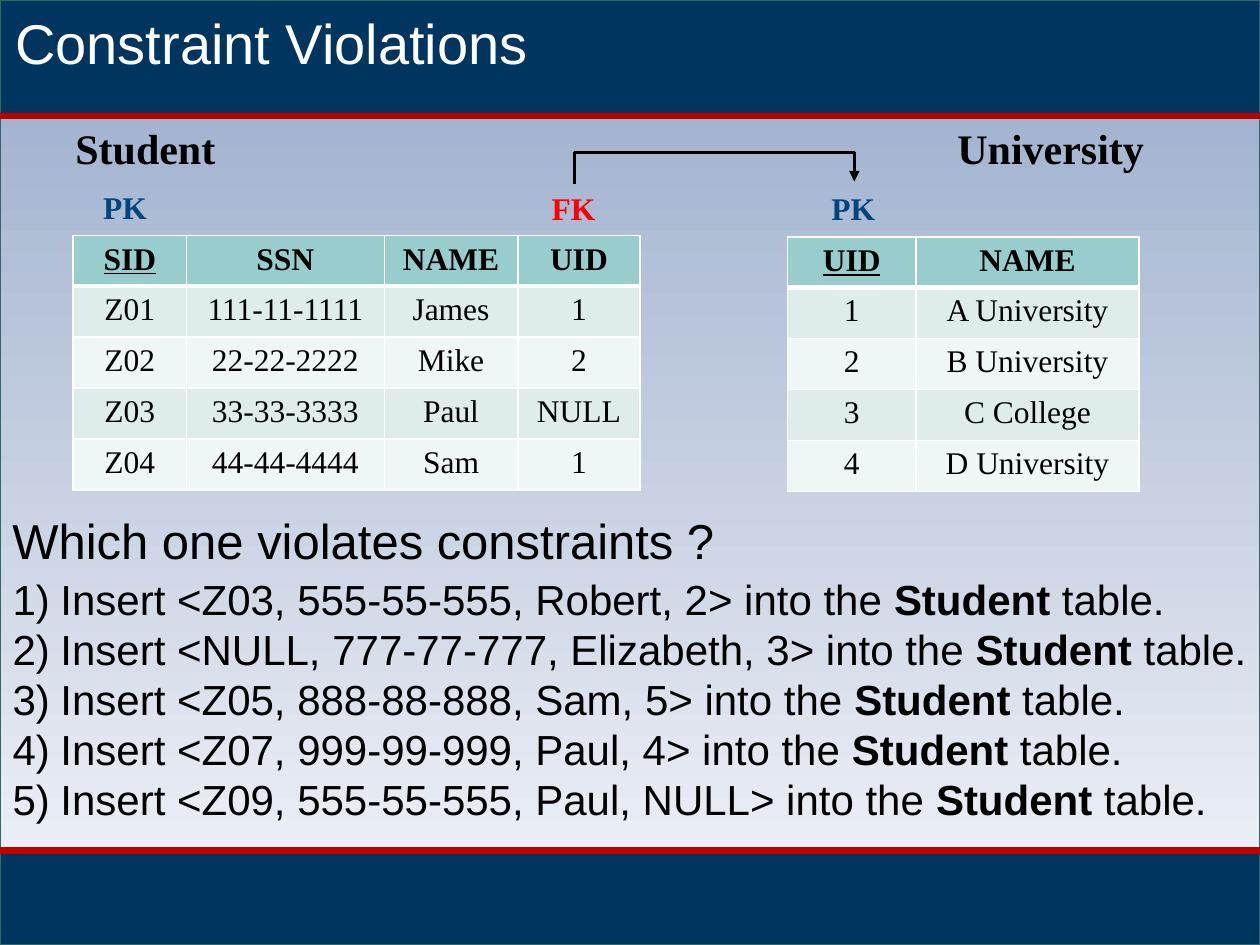
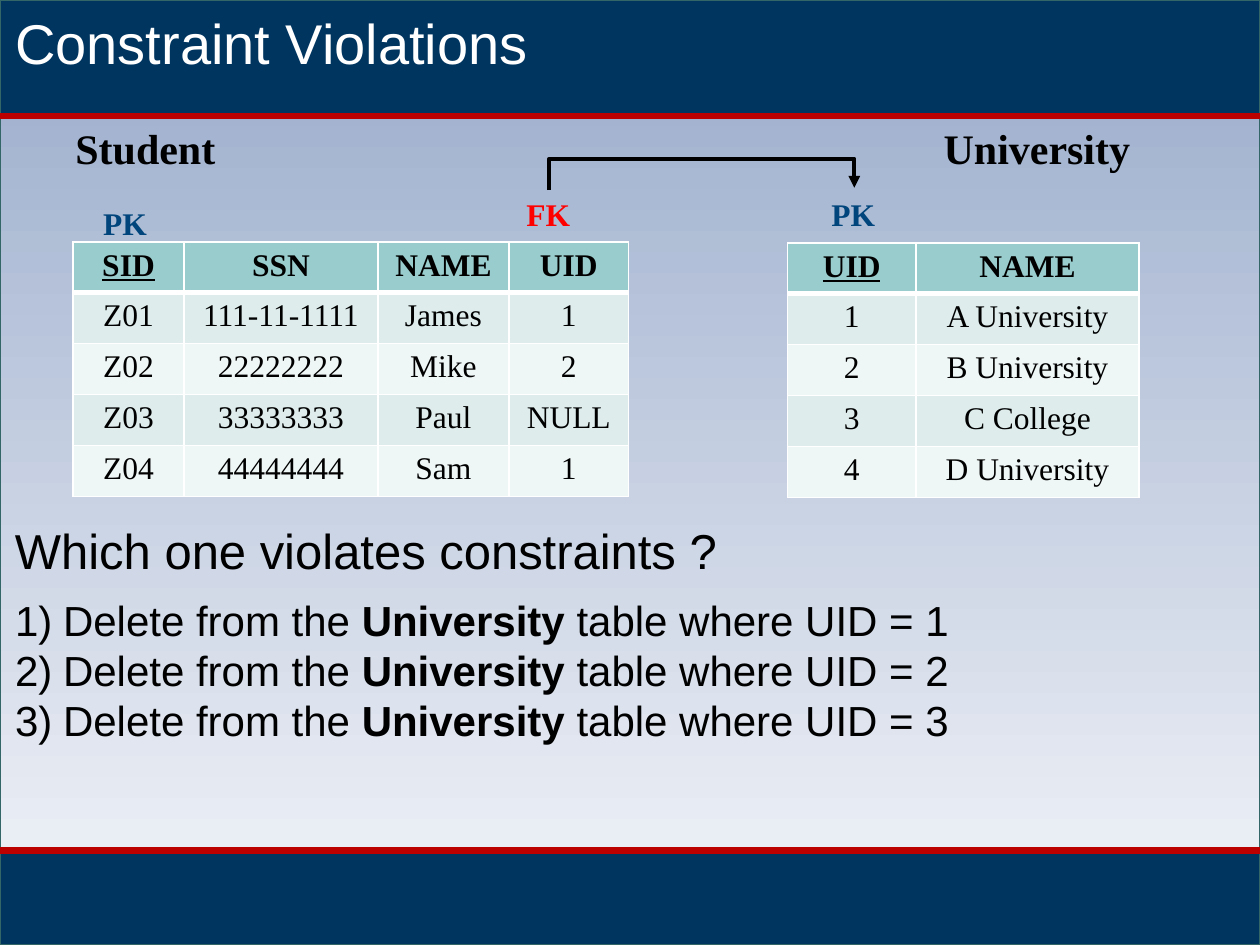
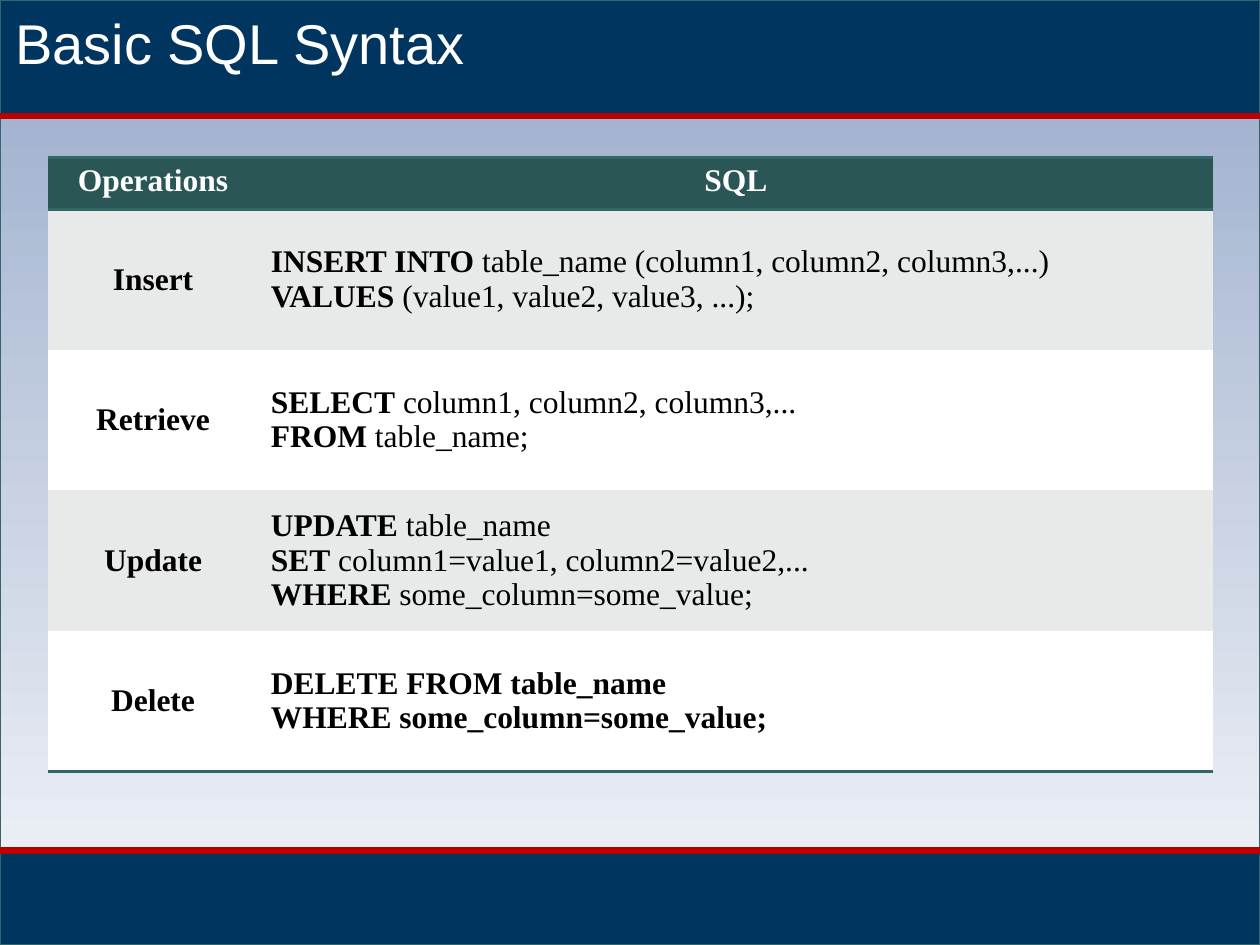
from lxml.etree import SubElement
from pptx import Presentation
from pptx.dml.color import RGBColor
from pptx.enum.shapes import MSO_CONNECTOR as LINE, MSO_SHAPE as SHAPE
from pptx.enum.text import MSO_ANCHOR as ANCHOR, MSO_AUTO_SIZE as FIT, PP_ALIGN as ALIGN
from pptx.oxml import parse_xml
from pptx.oxml.ns import nsdecls, qn
from pptx.util import Inches, Pt

COLS, ROWS = 100, 75
SERIF, SANS = "Times New Roman", "Arial"
NAVY, TEAL, RED = "003560", "336666", "BC0000"
WHITE, BLACK = "FFFFFF", "000000"
FORMATS = {
    "title": dict(name=SANS, size=Pt(32), color=WHITE),
    "question": dict(name=SANS, size=Pt(28), color=BLACK),
    "list": dict(name=SANS, size=Pt(24), color=BLACK),
    "caption": dict(name=SERIF, size=Pt(24), color=BLACK, bold=True),
    "primary": dict(name=SERIF, size=Pt(18), color="00457C", bold=True),
    "foreign": dict(name=SERIF, size=Pt(18), color="FF0000", bold=True),
    "cell": dict(name=SERIF, size=Pt(18), color=BLACK),
    "head": dict(name=SERIF, size=Pt(18), color=BLACK, bold=True),
    "key": dict(name=SERIF, size=Pt(18), color=BLACK, bold=True, underline=True),
    "sql head": dict(name=SERIF, size=Pt(18), color=WHITE, bold=True),
}


def rgb(code):
    return RGBColor.from_string(code)


class Deck:
    def __init__(self):
        self.prs = Presentation()
        self.prs.slide_width, self.prs.slide_height = Inches(10), Inches(7.5)
        self.slide = None

    def x(self, cols):
        return round(self.prs.slide_width * cols / COLS)

    def y(self, rows):
        return round(self.prs.slide_height * rows / ROWS)

    def box(self, left, top, width, height):
        return self.x(left), self.y(top), self.x(width), self.y(height)

    def place(self, sp, at):
        for name, value in zip(("left", "top", "width", "height"), self.box(*at)):
            setattr(sp, name, value)

    def add_runs(self, p, text, style):
        for i, line in enumerate(text.split("\n")):
            if i:
                p.add_line_break()
            for j, part in enumerate(line.split("**")):
                if not part:
                    continue
                r = p.add_run()
                r.text = part
                for name, value in FORMATS[style].items():
                    if name == "color":
                        r.font.color.rgb = rgb(value)
                    else:
                        setattr(r.font, name, value)
                if j % 2:
                    r.font.bold = True

    def new(self, title, layout):
        self.slide = self.prs.slides.add_slide(self.prs.slide_layouts[layout])
        sp = self.slide.shapes.title
        self.place(sp, (0.2, 0.2, 99.8, 6.4))
        tf = sp.text_frame
        tf.auto_size, tf.vertical_anchor = FIT.NONE, ANCHOR.TOP
        p = tf.paragraphs[0]
        p.alignment = ALIGN.LEFT
        self.add_runs(p, title, "title")

    def text(self, text, style, at, wrap=True):
        tf = self.slide.shapes.add_textbox(*self.box(*at)).text_frame
        tf.word_wrap = wrap
        self.add_runs(tf.paragraphs[0], text, style)

    def numbered(self, items, at):
        sp = self.slide.placeholders[1]
        self.place(sp, at)
        tf = sp.text_frame
        tf.auto_size = FIT.NONE
        for i, item in enumerate(items):
            p = tf.add_paragraph() if i else tf.paragraphs[0]
            pPr = p._p.get_or_add_pPr()
            pPr.set("marL", str(self.x(3.8)))
            pPr.set("indent", str(-self.x(3.8)))
            SubElement(pPr, qn("a:buFont"), typeface=SANS)
            SubElement(pPr, qn("a:buAutoNum"), type="arabicParenR")
            p.space_before, p.line_spacing = Pt(0), Pt(28.7)
            self.add_runs(p, item, "list")

    def rect(self, at, fill):
        sp = self.slide.shapes.add_shape(SHAPE.RECTANGLE, *self.box(*at))
        sp.shadow.inherit = False
        if isinstance(fill, str):
            sp.fill.solid()
            sp.fill.fore_color.rgb = rgb(fill)
        else:
            sp.fill.gradient()
            sp.fill.gradient_angle = 270
            for stop, color in zip(sp.fill.gradient_stops, fill):
                stop.color.rgb = rgb(color)
        sp.line.color.rgb, sp.line.width = rgb(TEAL), Pt(0.75)
        return sp

    def line(self, kind, start, end, color, width):
        sp = self.slide.shapes.add_connector(
            kind, self.x(start[0]), self.y(start[1]), self.x(end[0]), self.y(end[1]))
        sp.line.color.rgb, sp.line.width = rgb(color), Pt(width)
        SubElement(sp.element.spPr, qn("a:effectLst"))
        return sp

    def key_arrow(self, start, end, rise, width):
        (x1, y1), (x2, y2) = start, end
        cx, cy = (x1 + x2) / 2, (y1 + y2) / 2
        half_w, half_h = (y1 - y2) / 2, (x2 - x1) / 2
        sp = self.line(LINE.ELBOW, (cx + half_w, cy + half_h),
                       (cx - half_w, cy - half_h), BLACK, width)
        spPr = sp.element.spPr
        spPr.find(qn("a:xfrm")).set("rot", str(90 * 60000))
        adjusts = spPr.find(qn("a:prstGeom")).find(qn("a:avLst"))
        SubElement(adjusts, qn("a:gd"), name="adj1",
                   fmla=f"val {round(rise / (y1 - y2) * 100000)}")
        SubElement(spPr.find(qn("a:ln")), qn("a:tailEnd"), type="triangle")

    def backdrop(self):
        parts = [
            self.rect((0, 0, COLS, ROWS), ("99ABCB", "F3F5F9")),
            self.rect((0, 67.5, COLS, 7.5), NAVY),
            self.rect((0, 0, COLS, 9.2), NAVY),
        ]
        parts += [self.line(LINE.STRAIGHT, (0, y), (COLS, y), RED, 3.75)
                  for y in (9.2, 67.5)]
        tree = self.prs.slide_master.shapes.element
        for i, sp in enumerate(parts, 2):
            tree.insert(i, sp.element)

    def border(self, cell, edges):
        tcPr = cell._tc.get_or_add_tcPr()
        for i, (side, edge) in enumerate(zip("LRTB", edges)):
            color, width = edge or (None, 0)
            fill = (f'<a:solidFill><a:srgbClr val="{color}"/></a:solidFill>'
                    if edge else "<a:noFill/>")
            tcPr.insert(i, parse_xml(
                f'<a:ln{side} {nsdecls("a")} w="{Pt(width)}">{fill}</a:ln{side}>'))

    def table(self, rows, at, widths, head, fills, rules, side, look):
        frame = self.slide.shapes.add_table(len(rows), len(widths), *self.box(*at))
        table = frame.table
        table.first_row = table.horz_banding = False
        for col, width in zip(table.columns, widths):
            col.width = self.x(width)
        body = (at[3] - head) / (len(rows) - 1)
        for i, row in enumerate(rows):
            table.rows[i].height = self.y(body if i else head)
            for j, text in enumerate(row):
                cell = table.cell(i, j)
                style, align, anchor = look(i, j)
                cell.vertical_anchor = anchor
                cell.fill.solid()
                cell.fill.fore_color.rgb = rgb(fills[(i - 1) % 2 + 1 if i else 0])
                self.border(cell, (side, side, rules[i], rules[i + 1]))
                p = cell.text_frame.paragraphs[0]
                p.alignment = align
                self.add_runs(p, text, style)

    def data_table(self, rows, at, widths):
        def look(i, j):
            style = "cell" if i else "head" if j else "key"
            return style, ALIGN.CENTER, ANCHOR.TOP

        thin, thick = (WHITE, 1), (WHITE, 3)
        rules = [thin, thick] + [thin] * (len(rows) - 1)
        self.table(rows, at, widths, 4, ("99CCCC", "DEECEC", "EFF6F6"),
                   rules, thin, look)

    def sql_table(self, rows, at, widths):
        def look(i, j):
            if not i:
                return "sql head", ALIGN.CENTER, ANCHOR.TOP
            return (("cell", ALIGN.LEFT, ANCHOR.MIDDLE) if j
                    else ("head", ALIGN.CENTER, ANCHOR.MIDDLE))

        rule = (TEAL, 2)
        rules = [rule, rule] + [None] * (len(rows) - 2) + [rule]
        self.table(rows, at, widths, 4.1, ("2A5656", "E8EAEA", WHITE),
                   rules, None, look)

    def violations(self, ssns, widths, top, university_x, pk_y, fk_x,
                   arrow_width, question, answers, answers_at):
        names, uids = ("James", "Mike", "Paul", "Sam"), ("1", "2", "NULL", "1")
        students = [("SID", "SSN", "NAME", "UID")]
        students += [(f"Z{n:02}", *rest)
                     for n, rest in enumerate(zip(ssns, names, uids), 1)]
        schools = ("A University", "B University", "C College", "D University")
        universities = [("UID", "NAME")]
        universities += [(str(n), name) for n, name in enumerate(schools, 1)]
        self.data_table(students, (5.8, top, sum(widths), 20.2), widths)
        self.data_table(universities, (62.5, top + 0.1, 27.9, 20.2), (10.2, 17.7))
        self.text("Student", "caption", (5, 9.2, 13.3, 5), False)
        self.text("University", "caption", (university_x, 9.2, 17.2, 5))
        key_y = top - 4.2
        for label, style, x, y in (("PK", "primary", 7.2, pk_y),
                                   ("FK", "foreign", fk_x, key_y),
                                   ("PK", "primary", 65, key_y)):
            self.text(label, style, (x, y, 5.5, 4), False)
        self.key_arrow((fk_x + 2.8, key_y + 0.1), (67.8, key_y - 0.1), 2.5, arrow_width)
        self.text("Which one violates constraints ?", "question", question)
        self.numbered(answers, answers_at)


def main():
    deck = Deck()
    deck.new("Constraint Violations", 1)
    deck.backdrop()
    inserts = ("Z03, 555-55-555, Robert, 2", "NULL, 777-77-777, Elizabeth, 3",
               "Z05, 888-88-888, Sam, 5", "Z07, 999-99-999, Paul, 4",
               "Z09, 555-55-555, Paul, NULL")
    deck.violations(
        ("111-11-1111", "22-22-2222", "33-33-3333", "44-44-4444"),
        (9, 15.7, 10.6, 9.7), 18.7, 75, 14.4, 42.8, 2, (0, 40, 99.8, 5.7),
        [f"Insert <{row}> into the **Student **table." for row in inserts],
        (0, 45, 100, 21.2))

    deck.new("Constraint Violations", 1)
    deck.violations(
        ("111-11-1111", "22222222", "33333333", "44444444"),
        (8.8, 15.4, 10.4, 9.5), 19.2, 73.9, 15.7, 40.8, 2.25, (0.2, 40.8, 99.8, 5.7),
        [f"Delete from the **University** table where UID = {n}" for n in (1, 2, 3)],
        (0.2, 46.7, 99.8, 13.1))

    deck.new("Basic SQL Syntax", 5)
    deck.sql_table([
        ("Operations", "SQL"),
        ("Insert", "**INSERT INTO** table_name (column1, column2, column3,...)\n"
                   "**VALUES** (value1, value2, value3, ...);"),
        ("Retrieve", "**SELECT** column1, column2, column3,...\n"
                     "**FROM** table_name;"),
        ("Update", "**UPDATE** table_name\n"
                   "**SET** column1=value1, column2=value2,...\n"
                   "**WHERE** some_column=some_value;"),
        ("Delete", "**DELETE FROM table_name**\n"
                   "**WHERE some_column=some_value;**"),
    ], (3.8, 12.5, 92.5, 48.7), (16.7, 75.8))
    deck.prs.save("out.pptx")


if __name__ == "__main__":
    main()
